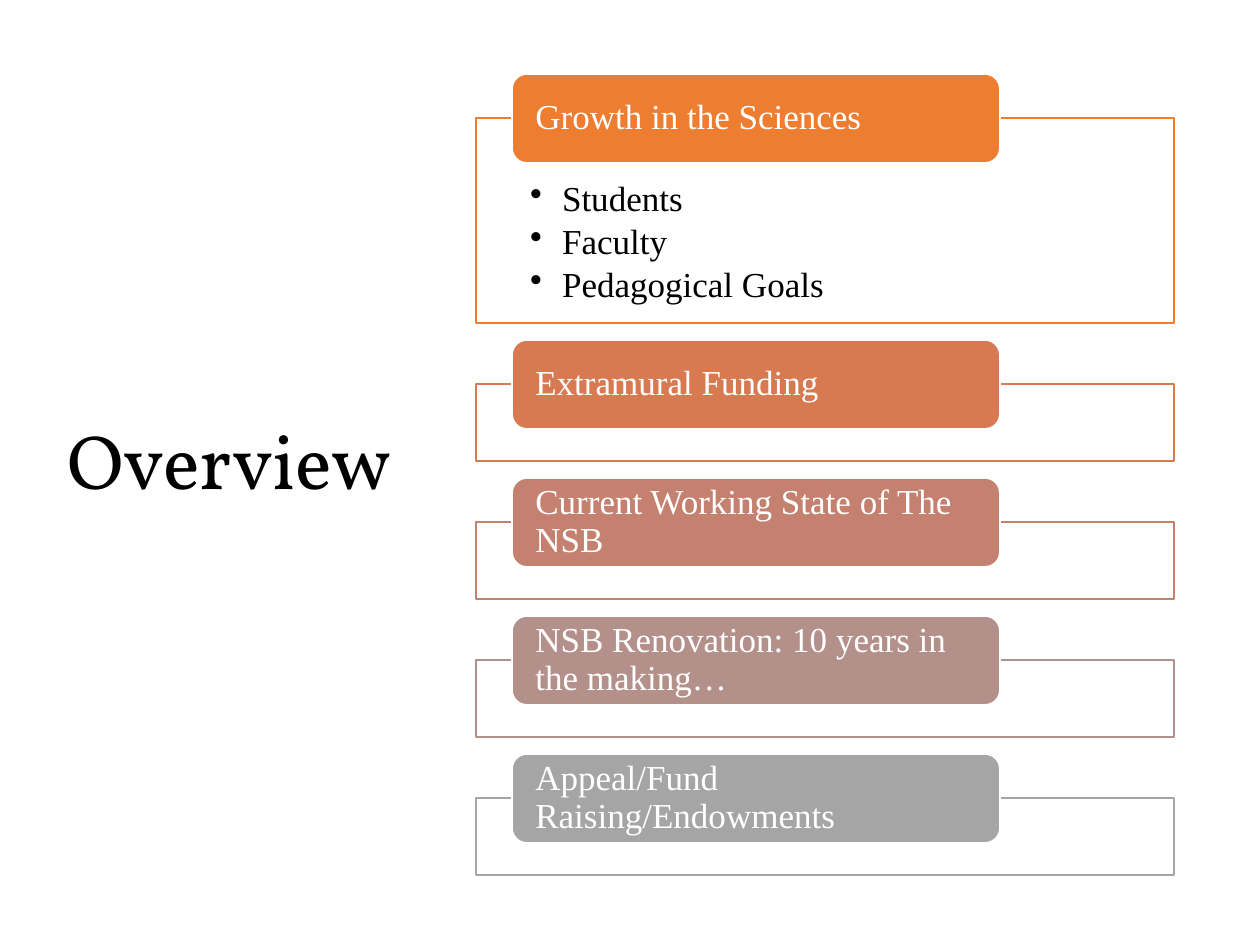
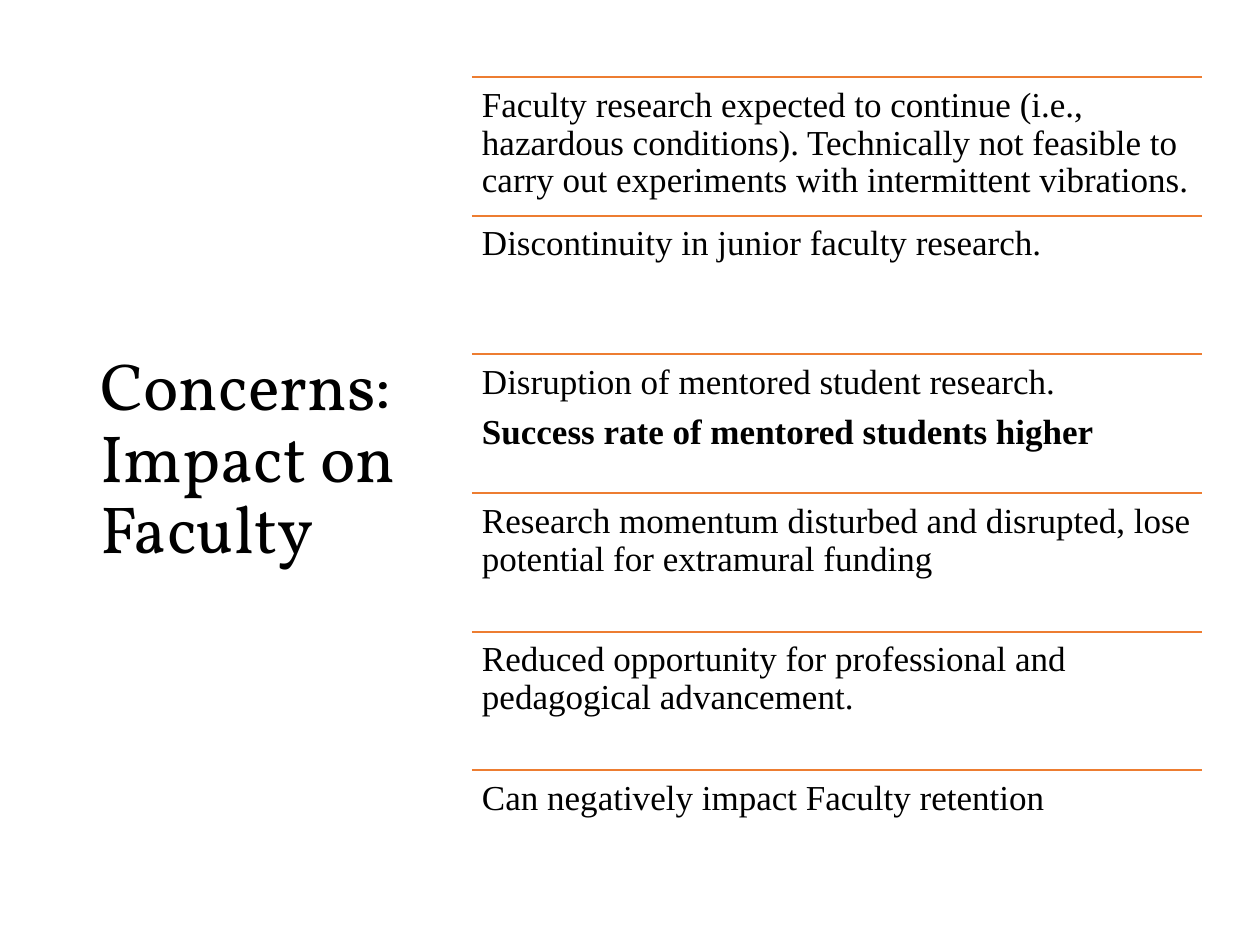
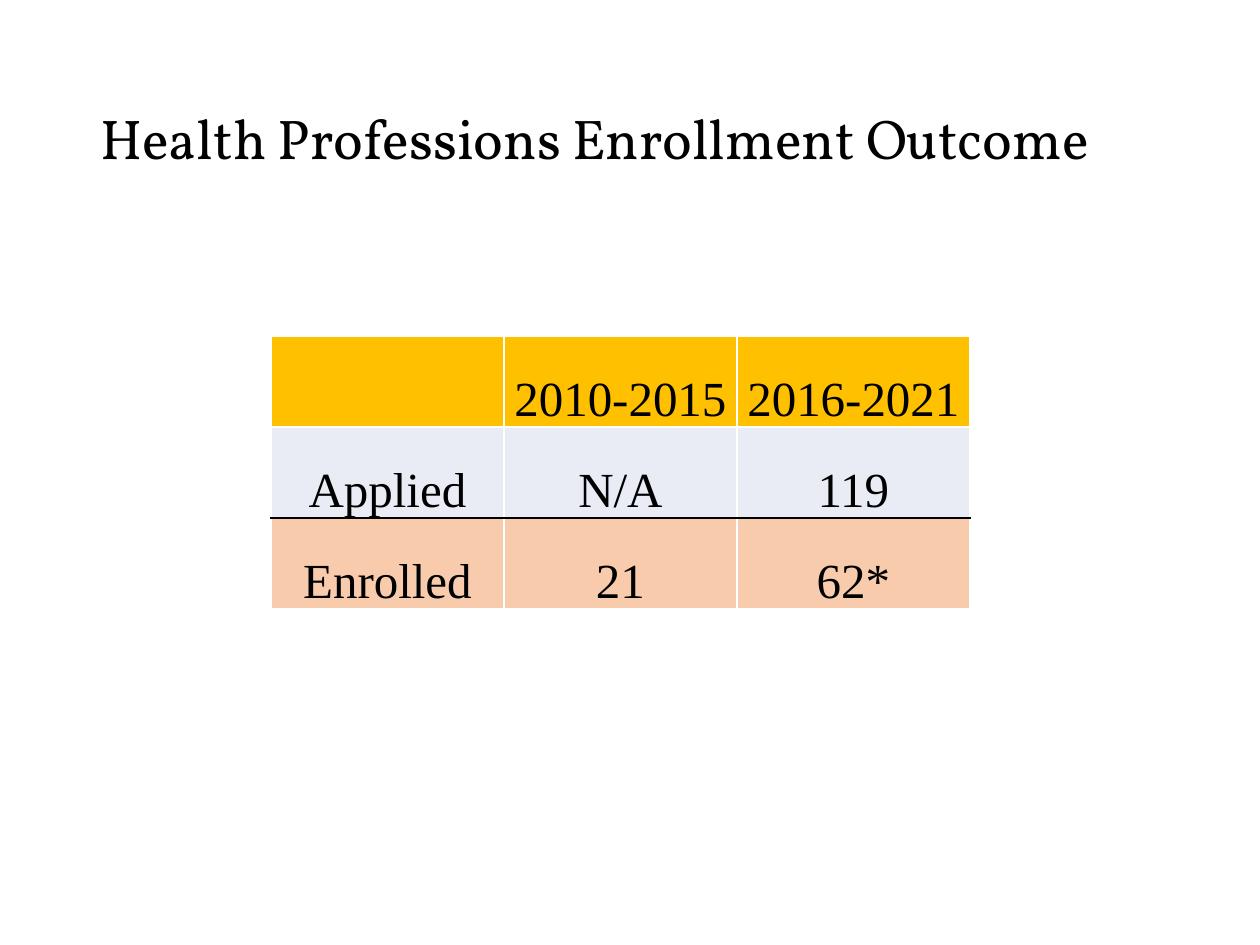
from lxml import etree
from pptx import Presentation
from pptx.dml.color import RGBColor
from pptx.enum.shapes import MSO_CONNECTOR, MSO_SHAPE
from pptx.enum.text import MSO_ANCHOR, MSO_AUTO_SIZE, PP_ALIGN
from pptx.oxml.ns import qn
from pptx.util import Pt

RECTANGLE = MSO_SHAPE.RECTANGLE
ROUNDED = MSO_SHAPE.ROUNDED_RECTANGLE
STRAIGHT = MSO_CONNECTOR.STRAIGHT
TOP, MIDDLE, BOTTOM = MSO_ANCHOR.TOP, MSO_ANCHOR.MIDDLE, MSO_ANCHOR.BOTTOM
LEFT, CENTER = PP_ALIGN.LEFT, PP_ALIGN.CENTER

PX_PER_INCH = 126
TITLE_FONT = "Vollkorn"
BODY_FONT = "Times New Roman"
BODY_SIZE = 20
TITLE_ONLY = 5

COLORS = {
    "black": "000000",
    "white": "FFFFFF",
    "orange": "ED7D31",
    "copper": "D87A51",
    "clay": "C48170",
    "mauve": "B4908B",
    "gray": "A5A5A5",
    "gold": "FFC000",
    "pale_blue": "E9EBF5",
    "peach": "F8CBAD",
}

SECTIONS = [
    ("Growth in the Sciences", "orange", ["Students", "Faculty", "Pedagogical Goals"]),
    ("Extramural Funding", "copper", []),
    ("Current Working State of The NSB", "clay", []),
    ("NSB Renovation: 10 years in the making…", "mauve", []),
    ("Appeal/Fund Raising/Endowments", "gray", []),
]

CONCERNS = [
    ["Faculty research expected to continue (i.e., hazardous conditions). "
     "Technically not feasible to carry out experiments with intermittent vibrations."],
    ["Discontinuity in junior faculty research."],
    ["Disruption of mentored student research.",
     "Success rate of mentored students higher"],
    ["Research momentum disturbed and disrupted, lose potential for extramural funding"],
    ["Reduced opportunity for professional and pedagogical advancement."],
    ["Can negatively impact Faculty retention"],
]

ENROLLMENT = [
    ("gold", ["", "2010-2015", "2016-2021"]),
    ("pale_blue", ["Applied", "N/A", "119"]),
    ("peach", ["Enrolled", "21", "62*"]),
]


def px(*lengths):
    """Turn pixel lengths into EMU."""
    emu = [round(length * 914400 / PX_PER_INCH) for length in lengths]
    return emu[0] if len(emu) == 1 else emu


def rgb(name):
    return RGBColor.from_string(COLORS[name])


def style_font(font, size, color="black", name=BODY_FONT):
    font.name = name
    font.size = Pt(size)
    font.color.rgb = rgb(color)


def set_frame(frame, insets, anchor):
    frame.word_wrap = True
    frame.auto_size = MSO_AUTO_SIZE.NONE
    frame.vertical_anchor = anchor
    (frame.margin_left, frame.margin_top,
     frame.margin_right, frame.margin_bottom) = px(*insets)


def write_lines(frame, lines, color="black", gap=0, bullets=False):
    frame.text = "\n".join(lines)
    for para in frame.paragraphs:
        para.alignment = LEFT
        para.line_spacing = 0.9
        para.space_after = Pt(gap)
        if bullets:
            properties = para._p.get_or_add_pPr()
            properties.set("marL", str(px(32)))
            properties.set("indent", str(px(-32)))
            etree.SubElement(properties, qn("a:buChar")).set("char", "•")
        for span in para.runs:
            style_font(span.font, BODY_SIZE, color)


def add_page(deck, title, box, size):
    page = deck.slides.add_slide(deck.slide_layouts[TITLE_ONLY])
    heading = page.shapes.title
    heading.left, heading.top, heading.width, heading.height = px(*box)
    frame = heading.text_frame
    set_frame(frame, (13, 6, 13, 6), MIDDLE)
    frame.text = title
    para = frame.paragraphs[0]
    para.alignment = LEFT
    para.line_spacing = 0.9
    style_font(para.runs[0].font, size, name=TITLE_FONT)
    return page


def add_block(page, kind, box, fill, line):
    block = page.shapes.add_shape(kind, *px(*box))
    block.shadow.inherit = False
    block.fill.solid()
    block.fill.fore_color.rgb = rgb(fill)
    block.line.color.rgb = rgb(line)
    block.line.width = Pt(1)
    return block


def add_sections(page, box):
    """Stack framed sections, each with a label tab across its top edge."""
    left, top, width = box
    tab_height, tab_rise, gap = 89, 44, 61
    frame_top = top + tab_rise
    for label, color, points in SECTIONS:
        frame_height = 205 if points else 77
        panel = add_block(page, RECTANGLE, (left, frame_top, width, frame_height),
                          "white", color)
        if points:
            set_frame(panel.text_frame, (54, 63, 54, 20), TOP)
            write_lines(panel.text_frame, points, gap=3, bullets=True)
        tab = add_block(page, ROUNDED,
                        (left + 36, frame_top - tab_rise, 488, tab_height),
                        color, "white")
        set_frame(tab.text_frame, (19, 0, 19, 0), MIDDLE)
        write_lines(tab.text_frame, [label], "white")
        frame_top += frame_height + gap


def add_ruled_list(page, box):
    """Share the box height equally among entries, each under a rule."""
    left, top, width, height = box
    row_height = height / len(CONCERNS)
    for index, lines in enumerate(CONCERNS):
        row_top = top + index * row_height
        rule = page.shapes.add_connector(
            STRAIGHT, *px(left, row_top, left + width, row_top))
        rule.line.color.rgb = rgb("orange")
        rule.line.width = Pt(1)
        etree.SubElement(rule._element.spPr, qn("a:effectLst"))
        entry = page.shapes.add_textbox(*px(left, row_top, width, row_height))
        set_frame(entry.text_frame, (10, 10, 10, 10), TOP)
        write_lines(entry.text_frame, lines, gap=7)
        # A second line is the emphasised finding
        for para in entry.text_frame.paragraphs[1:]:
            para.runs[0].font.bold = True


def set_border(cell, side, color):
    line = etree.SubElement(cell._tc.get_or_add_tcPr(), qn(f"a:ln{side}"))
    line.set("w", str(Pt(1)))
    fill = etree.SubElement(line, qn("a:solidFill"))
    etree.SubElement(fill, qn("a:srgbClr")).set("val", COLORS[color])


def add_enrollment_table(page, box):
    rows, columns = len(ENROLLMENT), len(ENROLLMENT[0][1])
    table = page.shapes.add_table(rows, columns, *px(*box)).table
    table.first_row = table.horz_banding = False
    for row, (fill, values) in enumerate(ENROLLMENT):
        # The black rule parts the last two rows
        borders = {"L": "white", "R": "white",
                   "T": "black" if row == rows - 1 else "white",
                   "B": "black" if row == rows - 2 else "white"}
        for column, value in enumerate(values):
            cell = table.cell(row, column)
            for side, color in borders.items():
                set_border(cell, side, color)
            cell.fill.solid()
            cell.fill.fore_color.rgb = rgb(fill)
            cell.vertical_anchor = BOTTOM
            cell.margin_left = cell.margin_top = cell.margin_right = px(1)
            cell.margin_bottom = 0
            cell.text_frame.text = value
            para = cell.text_frame.paragraphs[0]
            para.alignment = CENTER
            for span in para.runs:
                style_font(span.font, 28)


def main():
    deck = Presentation()
    deck.slide_width, deck.slide_height = px(1260, 945)

    overview = add_page(deck, "Overview", (54, 86, 393, 758), 44)
    add_sections(overview, (476, 74, 698))

    concerns = add_page(deck, "Concerns: Impact on Faculty", (87, 77, 349, 767), 38)
    add_ruled_list(concerns, (472, 77, 730, 832))

    outcome = add_page(deck, "Health Professions Enrollment Outcome",
                       (87, 50, 1086, 183), 32)
    add_enrollment_table(outcome, (271, 336, 699, 273))

    deck.save("out.pptx")


if __name__ == "__main__":
    main()
